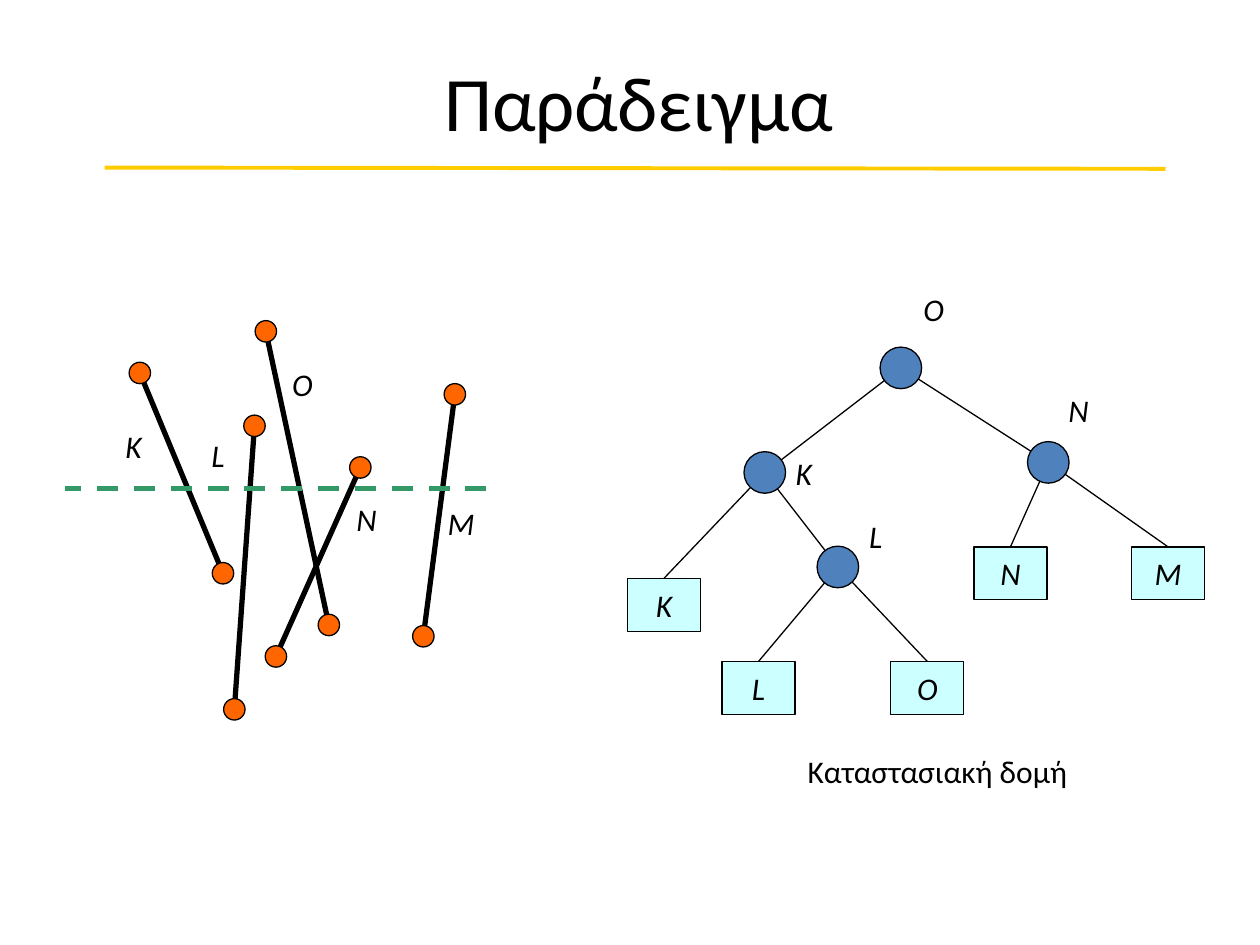
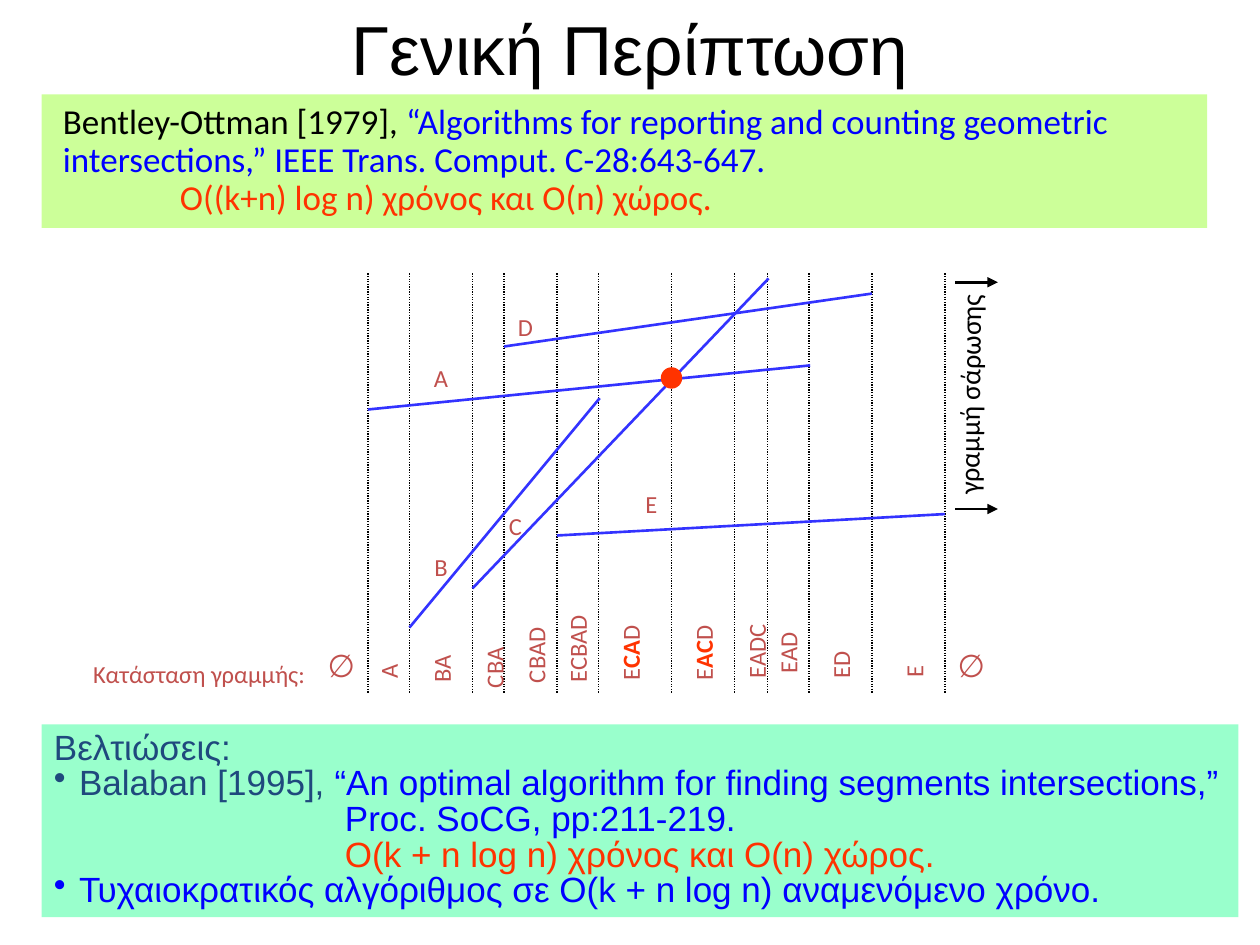
from lxml.etree import SubElement
from pptx import Presentation
from pptx.dml.color import RGBColor
from pptx.enum.dml import MSO_LINE
from pptx.enum.shapes import MSO_CONNECTOR, MSO_SHAPE
from pptx.enum.text import MSO_ANCHOR, PP_ALIGN
from pptx.oxml.ns import qn
from pptx.util import Inches, Pt

BLACK = RGBColor(0x00, 0x00, 0x00)
GOLD = RGBColor(0xFF, 0xCC, 0x00)
ORANGE = RGBColor(0xFF, 0x66, 0x00)
GREEN = RGBColor(0x33, 0x99, 0x66)
NODE_BLUE = RGBColor(0x4F, 0x81, 0xBD)
LEAF_CYAN = RGBColor(0xCC, 0xFF, 0xFF)
LIME = RGBColor(0xCC, 0xFF, 0x99)
MINT = RGBColor(0x99, 0xFF, 0xCC)
NAVY = RGBColor(0x1F, 0x49, 0x7D)
BLUE = RGBColor(0x00, 0x00, 0xFF)
SEGMENT_BLUE = RGBColor(0x33, 0x33, 0xFF)
RED = RGBColor(0xFF, 0x33, 0x00)
BRICK = RGBColor(0xC0, 0x50, 0x4D)


class SlideBuilder:
    body_font = "Calibri"

    def __init__(self, deck):
        self.deck = deck
        self.page = None

    def new_page(self):
        self.page = self.deck.slides.add_slide(self.deck.slide_layouts[6])

    def add_spans(self, para, spans, size, color=BLACK, font=None, italic=False):
        for text, *accent in spans:
            span = para.add_run()
            span.text = text
            if accent:
                span.font.color.rgb = accent[0]
                span.font.bold = len(accent) > 1
        para.font.name = font or self.body_font
        para.font.size = Pt(size)
        para.font.italic = italic
        para.font.color.rgb = color

    def prepare(self, frame, margin=0):
        frame.word_wrap = True
        frame.vertical_anchor = MSO_ANCHOR.MIDDLE
        frame.margin_left = frame.margin_right = Inches(margin)
        frame.margin_top = frame.margin_bottom = Inches(margin / 2)
        return frame.paragraphs[0]

    def label(self, x, y, spans, size, color=BLACK, width=1, height=0.4,
              turn=0, italic=False, font=None):
        if isinstance(spans, str):
            spans = [(spans,)]
        box = self.page.shapes.add_textbox(
            Inches(x - width / 2), Inches(y - height / 2), Inches(width), Inches(height))
        box.rotation = turn
        para = self.prepare(box.text_frame)
        para.alignment = PP_ALIGN.CENTER
        self.add_spans(para, spans, size, color, font, italic)

    def title(self, text, x, y, size, font=None):
        self.label(x, y, text, size, width=8.5, height=0.75, font=font)

    def shape(self, kind, x, y, width, height, fill, outlined=True):
        box = self.page.shapes.add_shape(
            kind, Inches(x - width / 2), Inches(y - height / 2), Inches(width), Inches(height))
        box.shadow.inherit = False
        box.fill.solid()
        box.fill.fore_color.rgb = fill
        if outlined:
            box.line.color.rgb = BLACK
            box.line.width = Pt(0.75)
        else:
            box.line.fill.background()
        return box

    def dot(self, x, y, diameter, fill, outlined=True):
        self.shape(MSO_SHAPE.OVAL, x, y, diameter, diameter, fill, outlined)

    def leaf(self, x, y, name):
        box = self.shape(MSO_SHAPE.RECTANGLE, x, y, 0.58, 0.42, LEAF_CYAN)
        para = self.prepare(box.text_frame)
        para.alignment = PP_ALIGN.CENTER
        self.add_spans(para, [(name,)], 18, italic=True)

    def panel(self, left, top, width, height, fill, rows, font, spacing):
        box = self.shape(MSO_SHAPE.RECTANGLE, left + width / 2, top + height / 2,
                         width, height, fill, outlined=False)
        frame = box.text_frame
        para = self.prepare(frame, 0.1)
        for number, (indent, bullet, color, spans) in enumerate(rows):
            if number:
                para = frame.add_paragraph()
            para.alignment = PP_ALIGN.LEFT
            para.line_spacing = spacing
            properties = para._p.get_or_add_pPr()
            properties.set("marL", str(Inches(indent)))
            if bullet:
                properties.set("indent", str(-Inches(indent)))
                SubElement(properties, qn("a:buChar")).set("char", "•")
            self.add_spans(para, spans, 20, color, font)

    def line(self, start, end, color=BLACK, width=0.75, dash=None, arrow=False):
        connector = self.page.shapes.add_connector(
            MSO_CONNECTOR.STRAIGHT, *(Inches(value) for value in (*start, *end)))
        connector.line.color.rgb = color
        connector.line.width = Pt(width)
        if dash:
            connector.line.dash_style = dash
        if arrow:
            SubElement(connector.get_or_add_ln(), qn("a:tailEnd")).set("type", "triangle")
        SubElement(connector._element.spPr, qn("a:effectLst"))


def build_example(builder):
    builder.new_page()
    builder.title("Παράδειγμα", 5.07, 0.8, 44)
    builder.line((0.83, 1.33), (9.25, 1.34), GOLD, 2.25)

    segments = {
        "K": ((1.11, 2.96), (1.77, 4.55), (1.06, 3.54)),
        "L": ((2.02, 3.38), (1.86, 5.63), (1.73, 3.61)),
        "O": ((2.11, 2.63), (2.61, 4.96), (2.4, 3.05)),
        "N": ((2.86, 3.71), (2.19, 5.21), (2.91, 4.12)),
        "M": ((3.61, 3.13), (3.36, 5.05), (3.66, 4.15)),
    }
    for upper, lower, _ in segments.values():
        builder.line(upper, lower, width=3)
    for name, (upper, lower, place) in segments.items():
        builder.dot(*upper, 0.17, ORANGE)
        builder.dot(*lower, 0.17, ORANGE)
        builder.label(*place, name, 18, italic=True)
    builder.line((3.86, 3.88), (0.52, 3.88), GREEN, 3, MSO_LINE.DASH)

    nodes = {
        "O": ((7.15, 2.92), (7.41, 2.45)),
        "K": ((6.07, 3.75), (6.38, 3.75)),
        "N": ((8.32, 3.67), (8.56, 3.25)),
        "L": ((6.65, 4.5), (6.95, 4.25)),
    }
    leaves = {"K": (5.27, 4.8), "L": (6.02, 5.46), "O": (7.36, 5.46),
              "N": (8.02, 4.55), "M": (9.27, 4.55)}
    for parent, child in ("OK", "ON", "KL"):
        builder.line(nodes[parent][0], nodes[child][0])
    for parent, child in ("KK", "LL", "LO", "NN", "NM"):
        x, y = leaves[child]
        builder.line(nodes[parent][0], (x, y - 0.21))
    for name, (x, y) in leaves.items():
        builder.leaf(x, y, name)
    for name, (center, place) in nodes.items():
        builder.dot(*center, 0.33, NODE_BLUE)
        builder.label(*place, name, 18, italic=True)
    builder.label(7.44, 6.12, "Καταστασιακή δομή", 18, width=3)


def build_general_case(builder):
    builder.new_page()
    builder.title("Γενική Περίπτωση", 5, 0.38, 39.6, "Arial")
    builder.panel(0.33, 0.75, 9.25, 1.06, LIME, [
        (0.07, False, BLUE, [
            ("Bentley-Ottman [1979], ", BLACK),
            ("“Algorithms for reporting and counting geometric",)]),
        (0.07, False, BLUE, [("intersections,” IEEE Trans. Comput. C-28:643-647.",)]),
        (1, False, RED, [("O((k+n) log n) χρόνος και O(n) χώρος.",)]),
    ], "Calibri", 0.9)
    builder.panel(0.33, 5.75, 9.5, 1.53, MINT, [
        (0, False, NAVY, [("Βελτιώσεις:",)]),
        (0.2, True, NAVY, [
            ("Balaban [1995], ",),
            ("“An optimal algorithm for finding segments intersections,”", BLUE)]),
        (2.31, False, BLUE, [("Proc. SoCG, pp:211-219.",)]),
        (2.31, False, RED, [("O(k + n log n) χρόνος και O(n) χώρος.",)]),
        (0.2, True, BLUE, [
            ("Τυχαιοκρατικός αλγόριθμος σε O(k + n log n) αναμενόμενο χρόνο.",)]),
    ], "Arial", 0.85)

    for event in (2.92, 3.25, 3.75, 4, 4.42, 4.75, 5.33, 5.83, 6.09, 6.42, 6.92, 7.5):
        builder.line((event, 2.17), (event, 5.5), dash=MSO_LINE.ROUND_DOT)

    segments = {
        "A": ((2.92, 3.25), (6.43, 2.9), (3.5, 3)),
        "B": ((3.25, 4.98), (4.76, 3.16), (3.5, 4.5)),
        "C": ((3.75, 4.67), (6.1, 2.21), (4.09, 4.17)),
        "D": ((4, 2.75), (6.92, 2.33), (4.17, 2.59)),
        "E": ((4.42, 4.25), (7.5, 4.08), (5.17, 4)),
    }
    for name, (start, end, place) in segments.items():
        builder.line(start, end, SEGMENT_BLUE, 1.5)
        builder.label(*place, name, 14, BRICK)
    builder.dot(5.33, 3, 0.17, RED, outlined=False)

    states = [
        (3.08, 5.33, "A"), (3.5, 5.31, "BA"), (3.92, 5.3, "CBA"),
        (4.25, 5.2, "CBAD"), (4.58, 5.15, "ECBAD"),
        (5, 5.18, [("E",), ("CA", RED, True), ("D",)]),
        (5.58, 5.18, [("E",), ("AC", RED, True), ("D",)]),
        (6, 5.17, "EADC"), (6.25, 5.18, "EAD"), (6.67, 5.28, "ED"), (7.25, 5.33, "E"),
    ]
    for x, y, state in states:
        builder.label(x, y, state, 14, BRICK, turn=270)
    for x in (2.71, 7.71):
        builder.label(x, 5.28, "∅", 18, BRICK)
    builder.label(1.58, 5.35, "Κατάσταση γραμμής:", 14, BRICK, width=2)

    builder.label(7.69, 3.13, "γραμμή σάρωσης", 16, width=2, turn=270.5)
    for y in (2.24, 4.04):
        builder.line((7.58, y), (7.92, y), width=1.5, arrow=True)


def main():
    deck = Presentation()
    deck.slide_width = Inches(10)
    deck.slide_height = Inches(7.5)
    builder = SlideBuilder(deck)
    build_example(builder)
    build_general_case(builder)
    deck.save("out.pptx")


if __name__ == "__main__":
    main()
